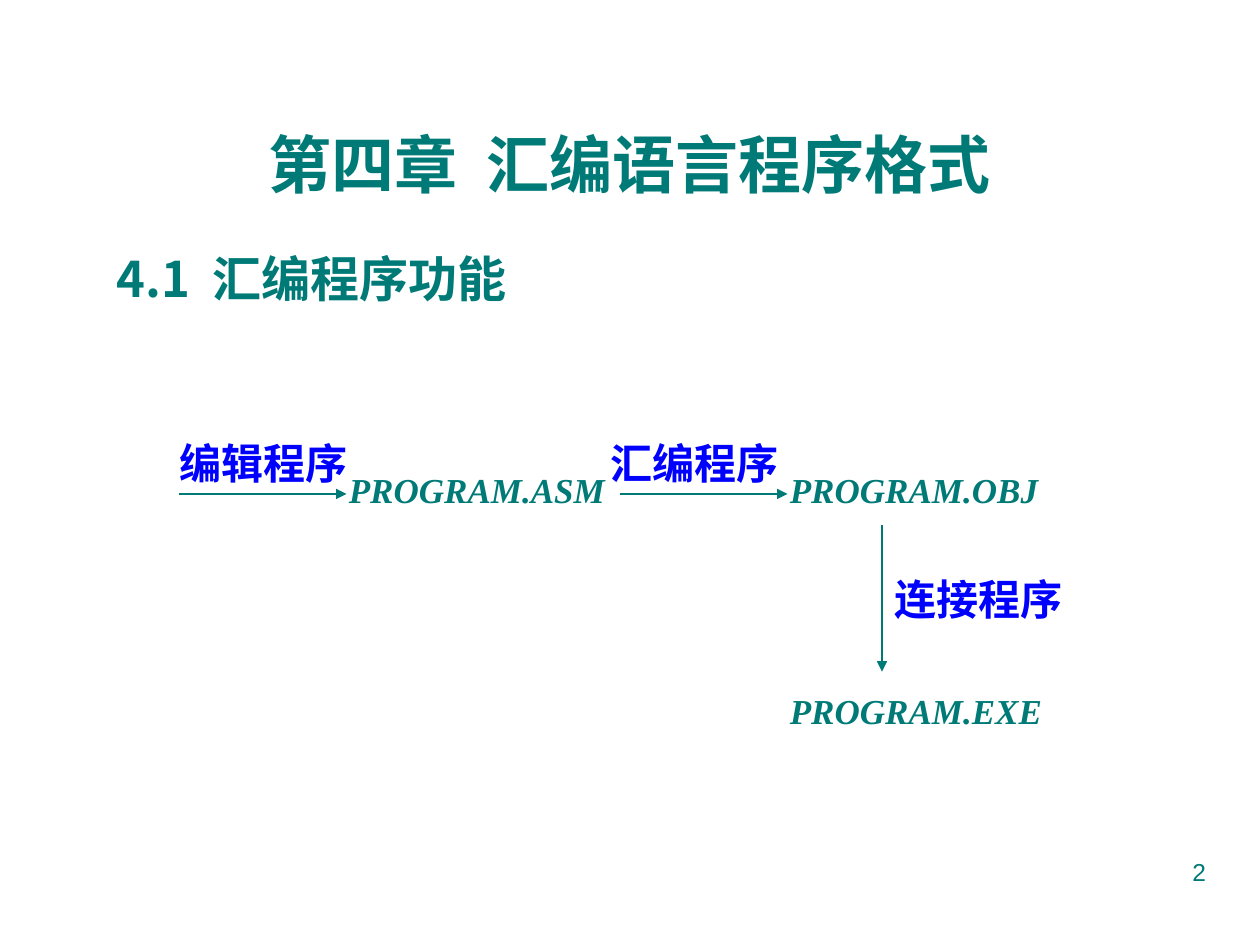
import pptx
import pptx.util
import pptx.dml.color
import pptx.enum.shapes
import pptx.enum.text
import pptx.oxml
import pptx.oxml.ns
from lxml import etree

TEAL = pptx.dml.color.RGBColor(0x00, 0x7A, 0x77)
BLUE = pptx.dml.color.RGBColor(0x00, 0x00, 0xFF)
CHINESE_FONT = "Noto Sans CJK SC"
LATIN_FONT = "Times New Roman"
ALIGN = pptx.enum.text.PP_ALIGN
ANCHOR = pptx.enum.text.MSO_ANCHOR

WIDTH, HEIGHT = 10, 7.5
COLUMN, ROW = 3.5, 1.75
FLOW_LEFT, FLOW_TOP = 1.42, 3.92
ARROW_LENGTH = 1.33
FILE_SIZE = (2.58, 0.44)
STEP_SIZE = (1.58, 0.5)

TITLE = "第四章  汇编语言程序格式"
SECTION = "4.1  汇编程序功能"
PAGE_NUMBER = "2"
FILES = [("PROGRAM.ASM", 0, 0), ("PROGRAM.OBJ", 1, 0), ("PROGRAM.EXE", 1, 1)]
STEPS = [("编辑程序", 1.33, 3.42), ("汇编程序", 4.75, 3.42), ("连接程序", 7, 4.5)]


def add_text(page, text, place, size, font, color=TEAL, align=ALIGN.JUSTIFY,
             anchor=ANCHOR.TOP, bold=True, italic=False):
    box = page.shapes.add_textbox(*(pptx.util.Inches(value) for value in place))
    frame = box.text_frame
    frame.word_wrap = True
    frame.vertical_anchor = anchor
    frame.text = text
    para = frame.paragraphs[0]
    para.alignment = align
    span = para.runs[0]
    span.font.name = font
    span.font.size = pptx.util.Pt(size)
    span.font.bold = bold
    span.font.italic = italic
    span.font.color.rgb = color
    east_asian = etree.SubElement(span.font._element, pptx.oxml.ns.qn("a:ea"))
    east_asian.set("typeface", CHINESE_FONT)


def add_arrow(page, start, end):
    arrow = page.shapes.add_connector(
        pptx.enum.shapes.MSO_CONNECTOR.STRAIGHT,
        *(pptx.util.Inches(value) for value in start + end))
    arrow.line.color.rgb = TEAL
    arrow.line.width = pptx.util.Pt(0.75)
    head = etree.SubElement(arrow.line._get_or_add_ln(), pptx.oxml.ns.qn("a:tailEnd"))
    head.set("type", "triangle")
    etree.SubElement(arrow._element.spPr, pptx.oxml.ns.qn("a:effectLst"))


def main():
    deck = pptx.Presentation()
    deck.slide_width = pptx.util.Inches(WIDTH)
    deck.slide_height = pptx.util.Inches(HEIGHT)
    page = deck.slides.add_slide(deck.slide_layouts[6])

    add_text(page, TITLE, (0.33, 0.67, 9.33, 1.25), 36, CHINESE_FONT,
             align=ALIGN.CENTER, anchor=ANCHOR.MIDDLE)
    add_text(page, SECTION, (0.83, 1.92, 4.17, 0.57), 28, CHINESE_FONT)
    add_text(page, PAGE_NUMBER, (7.17, 6.75, 2.5, 0.52), 14, "Arial",
             align=ALIGN.RIGHT, bold=False)

    for name, left, top in STEPS:
        add_text(page, name, (left, top) + STEP_SIZE, 24, LATIN_FONT, BLUE)
    for name, column, row in FILES:
        left = FLOW_LEFT + 1.25 + column * COLUMN
        top = FLOW_TOP - 0.25 + row * ROW
        add_text(page, name, (left, top) + FILE_SIZE, 20, LATIN_FONT, italic=True)

    for column in range(2):
        left = FLOW_LEFT + column * COLUMN
        add_arrow(page, (left, FLOW_TOP), (left + ARROW_LENGTH, FLOW_TOP))
    add_arrow(page, (7, FLOW_TOP + 0.25), (7, FLOW_TOP + ROW - 0.34))

    deck.save("out.pptx")


if __name__ == "__main__":
    main()
